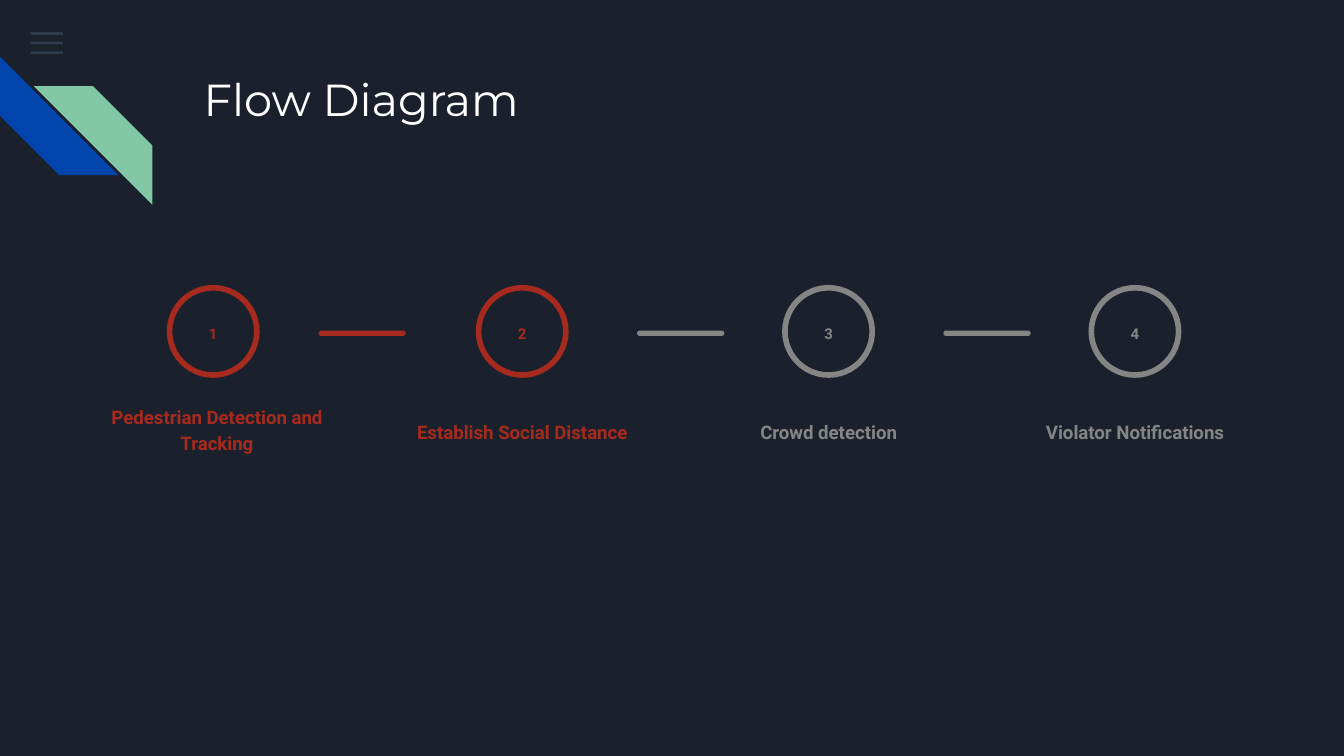
from lxml import etree
from pptx import Presentation
from pptx.dml.color import RGBColor
from pptx.enum import shapes, text
from pptx.oxml import ns
from pptx.util import Cm, Pt

COLORS = {
    "background": "1B212C",
    "menu": "55688B",
    "blue": "0145AC",
    "green": "82C7A5",
    "title": "FFFFFF",
    "done": "A72A1E",
    "pending": "858585",
}
CIRCLE_SIZE = 1.65
CIRCLE_TOP = 5.44
BAR_WIDTH = 1.65

# Label, colour, circle centre, label centre, label top, left of the bar that follows
STEPS = [
    ("Pedestrian Detection and Tracking", "done", 4.03, 4.1, 7.59, 6.02),
    ("Establish Social Distance", "done", 9.87, 9.87, 7.39, 12.04),
    ("Crowd detection", "pending", 15.66, 15.66, 7.39, 17.83),
    ("Violator Notifications", "pending", 21.45, 21.45, 7.39, None),
]


def rgb(name):
    return RGBColor.from_string(COLORS[name])


def add_filled(slide, kind, left, top, width, height, color):
    shape = slide.shapes.add_shape(kind, Cm(left), Cm(top), Cm(width), Cm(height))
    shape.shadow.inherit = False
    shape.fill.solid()
    shape.fill.fore_color.rgb = rgb(color)
    shape.line.fill.background()
    return shape


def set_margins(frame):
    frame.margin_left = frame.margin_right = Cm(0.25)
    frame.margin_top = frame.margin_bottom = Cm(0.25)
    frame.word_wrap = True


def set_font(paragraph, name, size, color, bold):
    font = paragraph.font
    font.name = name
    font.size = Pt(size)
    font.bold = bold
    font.color.rgb = rgb(color)


def add_label(slide, content, center, top, width, height, size, color, anchor):
    box = slide.shapes.add_textbox(Cm(center - width / 2), Cm(top), Cm(width), Cm(height))
    frame = box.text_frame
    set_margins(frame)
    frame.vertical_anchor = anchor
    paragraph = frame.paragraphs[0]
    paragraph.text = content
    paragraph.alignment = text.PP_ALIGN.CENTER
    paragraph.line_spacing = 1.15
    set_font(paragraph, "Roboto", size, color, True)
    return paragraph


def add_title(slide, content):
    title = slide.shapes.title
    title.left, title.top = Cm(3.6), Cm(1.1)
    title.width, title.height = Cm(19.56), Cm(2.54)
    frame = title.text_frame
    set_margins(frame)
    frame.vertical_anchor = text.MSO_ANCHOR.TOP
    paragraph = frame.paragraphs[0]
    paragraph.text = content
    paragraph.alignment = text.PP_ALIGN.LEFT
    set_font(paragraph, "Montserrat", 24, "title", False)


def add_decoration(slide):
    # Menu icon
    for row in range(3):
        line = add_filled(slide, shapes.MSO_SHAPE.RECTANGLE,
                          0.58, 0.61 + row * 0.18, 0.61, 0.05, "menu")
        color = line.fill._xPr.find(".//" + ns.qn("a:srgbClr"))
        etree.SubElement(color, ns.qn("a:alpha"), val="36000")

    # Corner stripes
    stripe = shapes.MSO_SHAPE.DIAGONAL_STRIPE
    blue = add_filled(slide, stripe, 0, 1.07, 2.24, 2.24, "blue")
    blue.rotation = 270
    green = add_filled(slide, stripe, 0.64, 1.63, 2.24, 2.24, "green")
    green._element.spPr.find(ns.qn("a:xfrm")).set("flipH", "1")


def add_circle(slide, center, color):
    circle = slide.shapes.add_shape(
        shapes.MSO_SHAPE.OVAL, Cm(center - CIRCLE_SIZE / 2), Cm(CIRCLE_TOP),
        Cm(CIRCLE_SIZE), Cm(CIRCLE_SIZE))
    circle.shadow.inherit = False
    circle.fill.background()
    circle.line.color.rgb = rgb(color)
    circle.line.width = Pt(3)


def add_bar(slide, left, color):
    bar = add_filled(slide, shapes.MSO_SHAPE.ROUNDED_RECTANGLE,
                     left, 6.25, BAR_WIDTH, 0.1, color)
    bar.adjustments[0] = 0.5


def add_step(slide, number, label, color, center, label_center, label_top):
    add_circle(slide, center, color)
    paragraph = add_label(slide, str(number), center, 5.89, 1.22, 0.89, 8, color,
                          text.MSO_ANCHOR.TOP)
    paragraph.space_after = Pt(16)
    add_label(slide, label, label_center, label_top, 4.75, 1.24, 10, color,
              text.MSO_ANCHOR.BOTTOM)


def main():
    presentation = Presentation()
    presentation.slide_width, presentation.slide_height = Cm(25.4), Cm(14.29)
    slide = presentation.slides.add_slide(presentation.slide_layouts[5])
    slide.background.fill.solid()
    slide.background.fill.fore_color.rgb = rgb("background")

    add_decoration(slide)
    add_title(slide, "Flow Diagram")

    # Steps, with a bar after each but the last
    for number, (label, color, center, label_center, label_top, bar_left) in enumerate(STEPS, 1):
        add_step(slide, number, label, color, center, label_center, label_top)
        if bar_left is not None:
            bar_color = "done" if number == 1 else "pending"
            add_bar(slide, bar_left, bar_color)

    presentation.save("out.pptx")


if __name__ == "__main__":
    main()
